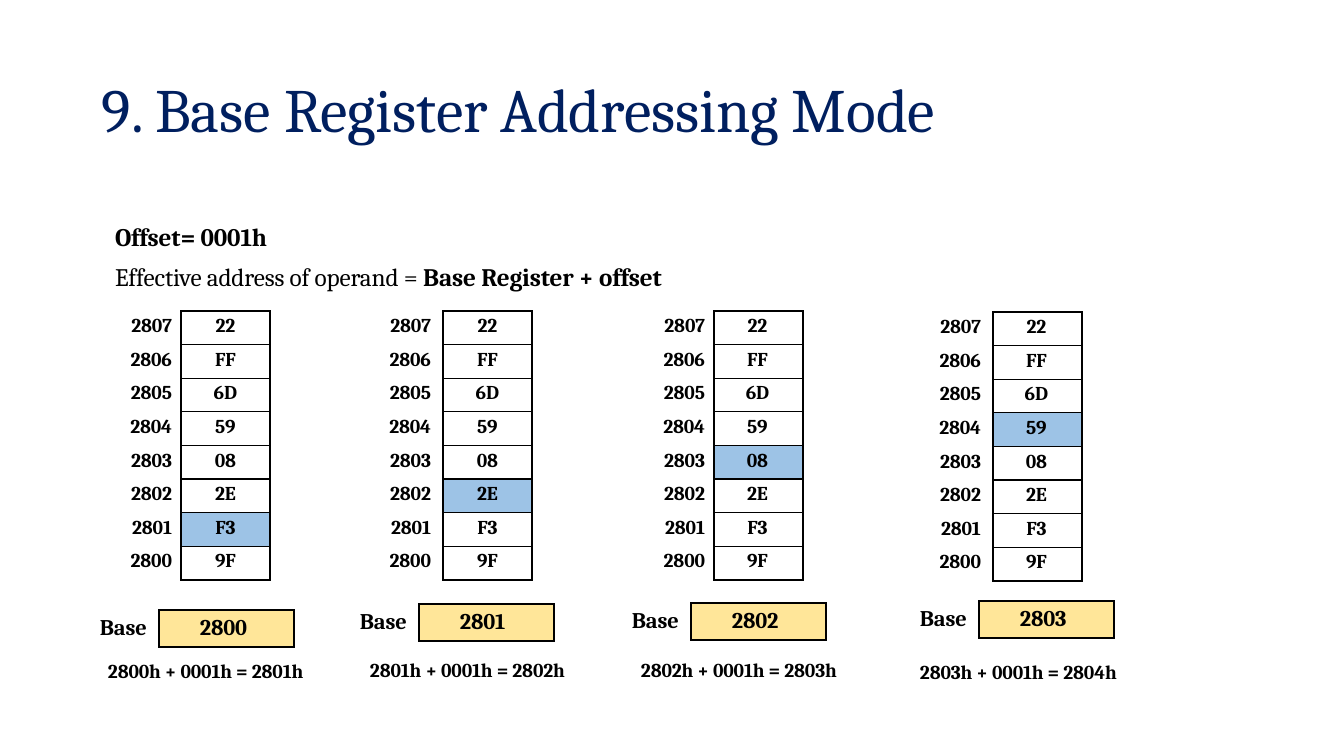
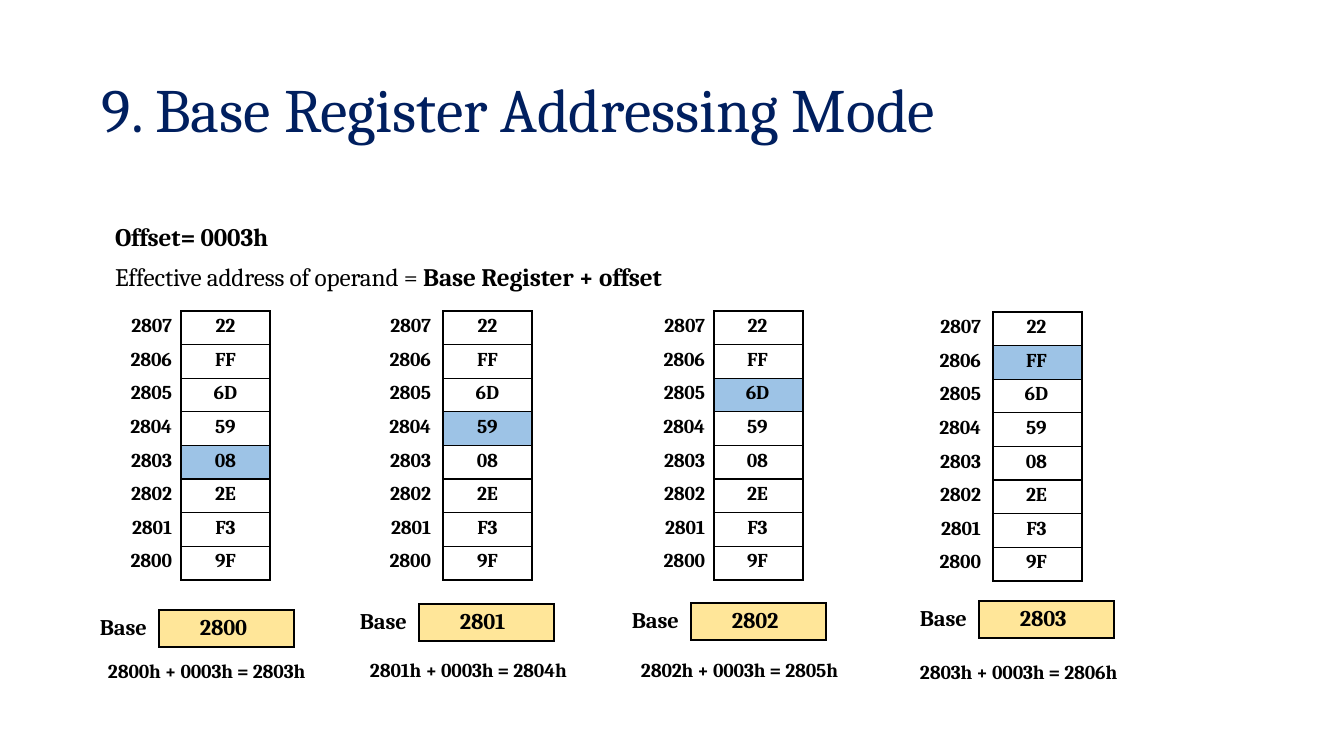
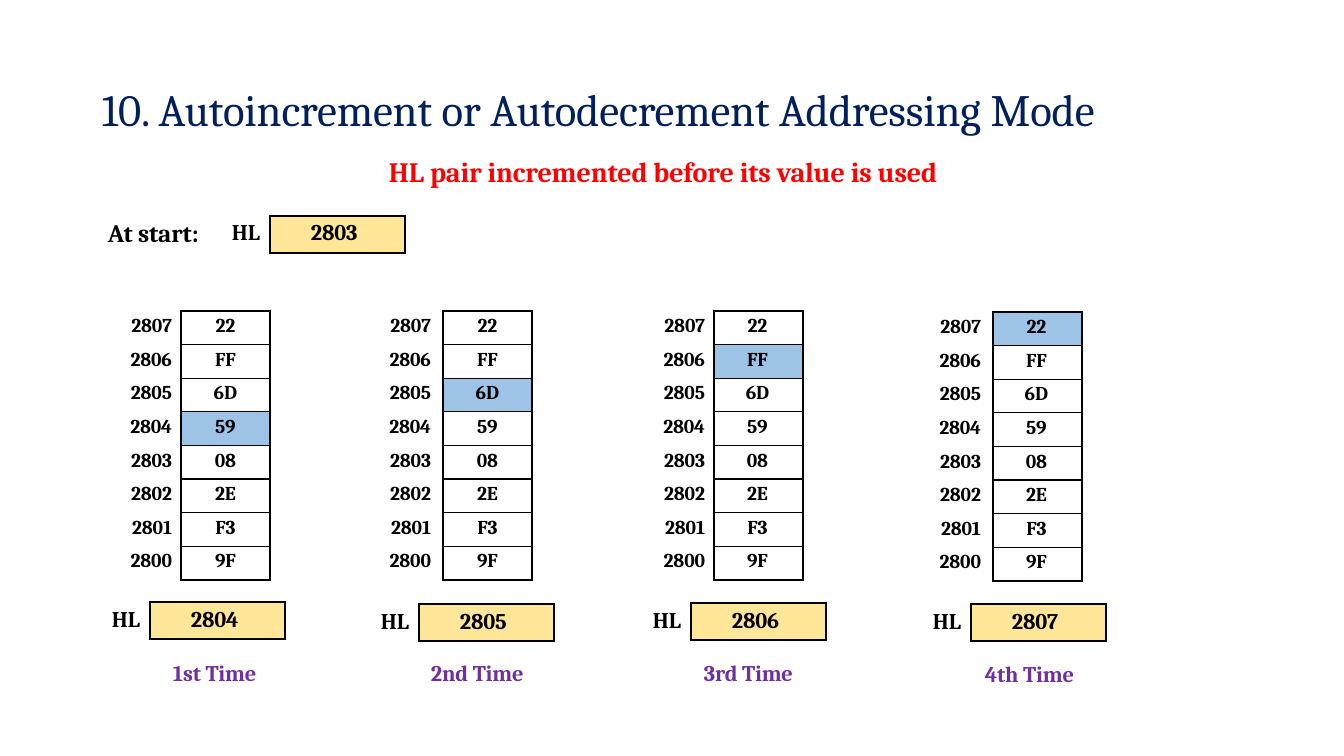
"""Build three slides on base register and autoincrement addressing modes."""
import pptx
import pptx.dml.color
import pptx.enum.text
import pptx.oxml
import pptx.oxml.ns
import pptx.util

PX = 914400 / 100.8
FONT = "Cambria"
COLORS = {
    "title": "001F5F",
    "text": "000000",
    "alert": "FF0000",
    "time": "6F2F9F",
    "operand": "9DC3E6",
    "register": "FFE699",
}
NO_GRID_STYLE = "{2D5ABB26-0587-4C30-8999-92F81FD0307C}"
ALIGN = pptx.enum.text.PP_ALIGN

TOP_ADDRESS = 0x2807
MEMORY = ["22", "FF", "6D", "59", "08", "2E", "F3", "9F"]
STACKS = [
    {"left": 111, "top": 311, "label_gap": 9, "value_gap": 0},
    {"left": 373, "top": 311, "label_gap": 12, "value_gap": 0},
    {"left": 644, "top": 311, "label_gap": 9, "value_gap": 2},
    {"left": 923, "top": 312, "label_gap": 12, "value_gap": 2},
]
STACK_COLS, STACK_HEIGHT = (70, 89), 269
BOX_WIDTH, BOX_HEIGHT = 135, 37

BASE_TITLE = "9. Base Register Addressing Mode"
BASE_OFFSETS = [1, 3]
BASES = [0x2800, 0x2801, 0x2802, 0x2803]
BASE_LABEL_WIDTH = 73
BASE_BOXES = [(159, 610), (419, 604), (691, 603), (979, 601)]
SUM_PLACES = [(107, 658), (369, 657), (640, 657), (919, 659)]

AUTO_TITLE = "10. Autoincrement or Autodecrement Addressing Mode"
AUTO_NOTE = "HL pair incremented before its value is used"
HL_START = 0x2803
HL_LABEL_WIDTH = 52
HL_BOXES = [(150, 602), (419, 604), (691, 603), (971, 604)]
TIMES = ["1st Time", "2nd Time", "3rd Time", "4th Time"]
TIME_PLACES = [(172, 659), (430, 659), (703, 659), (984, 660)]


def px(n):
    return pptx.util.Emu(round(n * PX))


def rgb(name):
    return pptx.dml.color.RGBColor.from_string(COLORS[name])


def style(p, size, color="text", bold=True, align=ALIGN.LEFT):
    p.alignment = align
    for r in p.runs:
        r.font.name = FONT
        r.font.size = pptx.util.Pt(size)
        r.font.bold = bold
        r.font.color.rgb = rgb(color)
        r.font._element.set("spc", "-10")


def set_frame(tf, top):
    tf.word_wrap = True
    tf.auto_size = pptx.enum.text.MSO_AUTO_SIZE.NONE
    tf.vertical_anchor = pptx.enum.text.MSO_ANCHOR.TOP
    tf.margin_left, tf.margin_top = px(1), px(top)
    tf.margin_right = tf.margin_bottom = 0


def add_text(slide, text, place, size, color="text", top=1):
    tf = slide.shapes.add_textbox(*map(px, place)).text_frame
    set_frame(tf, top)
    tf.text = text
    for p in tf.paragraphs:
        style(p, size, color)
    return tf


def add_slide(prs, title, top, width, height, size):
    slide = prs.slides.add_slide(prs.slide_layouts.get_by_name("Title Only"))
    sp = slide.shapes.title
    sp.left, sp.top, sp.width, sp.height = map(px, (101, top, width, height))
    set_frame(sp.text_frame, 1)
    sp.text_frame.text = title
    style(sp.text_frame.paragraphs[0], size, "title", bold=False)
    return slide


def add_border(cell, sides):
    for side in sides:
        cell._tc.get_or_add_tcPr().append(pptx.oxml.parse_xml(
            f'<a:ln{side} {pptx.oxml.ns.nsdecls("a")} w="12700"><a:solidFill>'
            f'<a:srgbClr val="{COLORS["text"]}"/></a:solidFill></a:ln{side}>'))


def fill_cell(cell, text, size, sides, fill=None, align=ALIGN.LEFT, left=0, right=0, top=4):
    cell.text = text
    cell.margin_left, cell.margin_right = px(left), px(right)
    cell.margin_top, cell.margin_bottom = px(top), 0
    style(cell.text_frame.paragraphs[0], size, align=align)
    add_border(cell, sides)
    if fill:
        cell.fill.solid()
        cell.fill.fore_color.rgb = rgb(fill)
    else:
        cell.fill.background()


def add_table(slide, left, top, cols, height, rows):
    frame = slide.shapes.add_table(rows, len(cols), px(left), px(top), px(sum(cols)), px(height))
    table = frame.table
    table.first_row = table.horz_banding = False
    table._tbl.tblPr.find(pptx.oxml.ns.qn("a:tableStyleId")).text = NO_GRID_STYLE
    for column, width in zip(table.columns, cols):
        column.width = px(width)
    for row in table.rows:
        row.height = px(height / rows)
    return table


def add_stack(slide, stack, operand):
    table = add_table(slide, stack["left"], stack["top"], STACK_COLS, STACK_HEIGHT, len(MEMORY))
    for i, value in enumerate(MEMORY):
        address = TOP_ADDRESS - i
        fill_cell(table.cell(i, 0), f"{address:X}", 14, "R",
                  align=ALIGN.RIGHT, right=stack["label_gap"])
        fill_cell(table.cell(i, 1), value, 14, "LRTB", "operand" if address == operand else None,
                  ALIGN.CENTER, right=stack["value_gap"])


def add_register(slide, label, value, label_width, box, top=5):
    left, y = box
    table = add_table(slide, left - label_width, y, (label_width, BOX_WIDTH), BOX_HEIGHT, 1)
    fill_cell(table.cell(0, 0), label, 16, "R", left=14, top=top)
    fill_cell(table.cell(0, 1), f"{value:X}", 16, "LRTB", "register", left=41, top=top)


def add_base_slide(prs, offset):
    slide = add_slide(prs, BASE_TITLE, 70, 889, 77, 44)
    tf = add_text(slide, f"Offset= {offset:04X}h\nEffective address of operand = ",
                  (114, 209, 580, 85), 18, top=12)
    p = tf.paragraphs[1]
    p.space_before = pptx.util.Pt(7.5)
    p.add_run().text = "Base Register + offset"
    style(p, 18)
    p.runs[0].font.bold = False
    for stack, base, box, place in zip(STACKS, BASES, BASE_BOXES, SUM_PLACES):
        operand = base + offset
        add_stack(slide, stack, operand)
        add_register(slide, "Base", base, BASE_LABEL_WIDTH, box)
        add_text(slide, f"{base:X}h + {offset:04X}h = {operand:X}h", (*place, 218, 25), 14)


def add_auto_slide(prs):
    slide = add_slide(prs, AUTO_TITLE, 81, 1059, 55, 32)
    add_text(slide, AUTO_NOTE, (388, 154, 568, 35), 20, "alert")
    add_text(slide, "At start:", (107, 216, 96, 32), 18)
    add_register(slide, "HL", HL_START, HL_LABEL_WIDTH, (270, 216), top=4)
    for i, (stack, box, time, place) in enumerate(zip(STACKS, HL_BOXES, TIMES, TIME_PLACES)):
        pair = HL_START + i + 1
        add_stack(slide, stack, pair)
        add_register(slide, "HL", pair, HL_LABEL_WIDTH, box)
        add_text(slide, time, (*place, 101, 27), 16, "time", top=0)


def main():
    prs = pptx.Presentation()
    prs.slide_width, prs.slide_height = px(1344), px(756)
    for offset in BASE_OFFSETS:
        add_base_slide(prs, offset)
    add_auto_slide(prs)
    prs.save("out.pptx")


if __name__ == "__main__":
    main()
